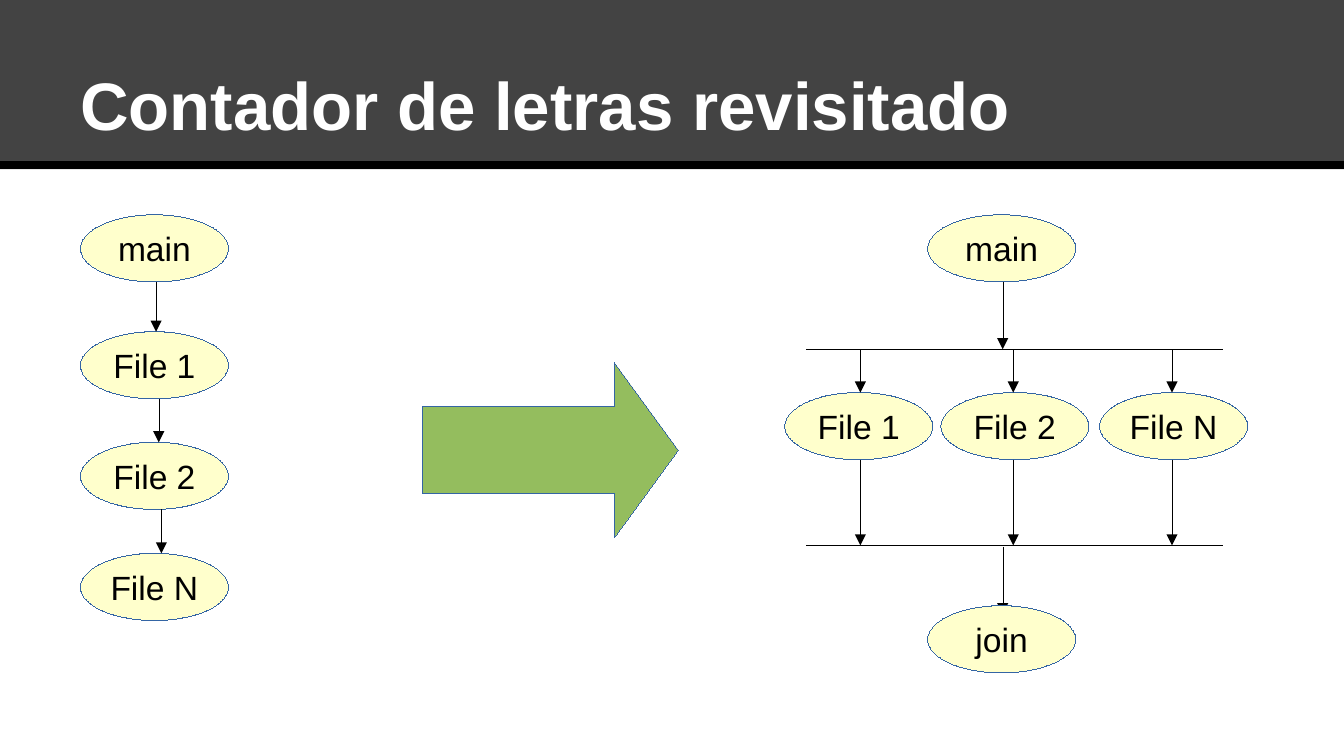
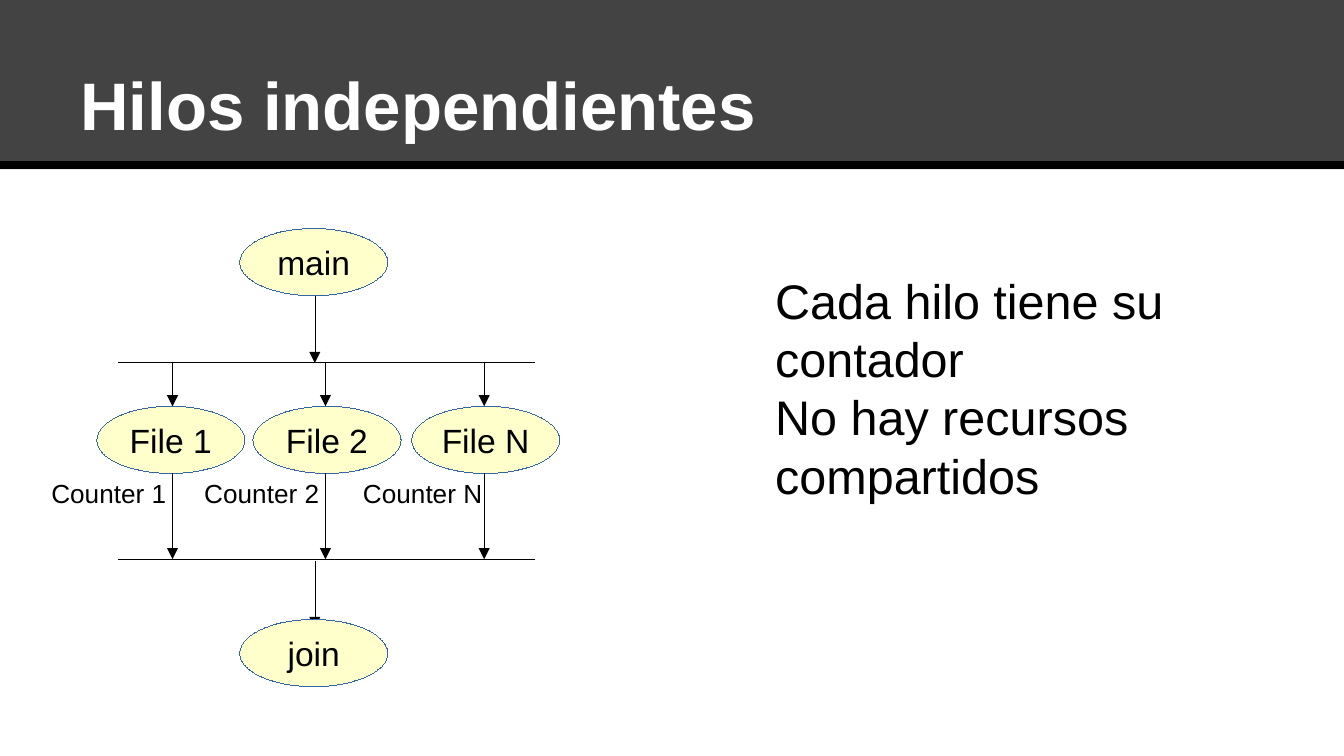
from lxml import etree
from pptx import Presentation
from pptx.dml.color import RGBColor
from pptx.enum.shapes import MSO_CONNECTOR, MSO_SHAPE as SHAPE
from pptx.enum.text import MSO_ANCHOR as ANCHOR, MSO_AUTO_SIZE as AUTO, PP_ALIGN as ALIGN
from pptx.oxml.ns import qn
from pptx.util import Cm, Pt

COLORS = {
    "band": "434343",
    "black": "000000",
    "white": "FFFFFF",
    "node": "FFFFCC",
    "outline": "3465A4",
    "arrow": "94BD5E",
}
RGB = {name: RGBColor.from_string(value) for name, value in COLORS.items()}
FONT = "Arial"
HAIRLINE = 0.01
NODE_W, NODE_H = 2.8, 1.27


def add_filled(s, kind, x, y, w, h, fill, text=""):
    sp = s.shapes.add_shape(kind, Cm(x), Cm(y), Cm(w), Cm(h))
    sp.shadow.inherit = False
    sp.fill.solid()
    sp.fill.fore_color.rgb = RGB[fill]
    sp.line.color.rgb = RGB["outline"]
    sp.line.width = Pt(HAIRLINE)
    if text:
        tf = sp.text_frame
        tf.word_wrap = False
        tf.vertical_anchor = ANCHOR.MIDDLE
        p = tf.paragraphs[0]
        p.text = text
        p.alignment = ALIGN.CENTER
        p.font.name, p.font.size = FONT, Pt(18)
        p.font.color.rgb = RGB["black"]
    return sp


def add_line(s, x1, y1, x2, y2, width=HAIRLINE, arrow=False):
    c = s.shapes.add_connector(MSO_CONNECTOR.STRAIGHT, Cm(x1), Cm(y1), Cm(x2), Cm(y2))
    c.line.color.rgb = RGB["black"]
    c.line.width = Pt(width)
    sp_pr = c._element.spPr
    if arrow:
        etree.SubElement(sp_pr.find(qn("a:ln")), qn("a:tailEnd"), type="triangle")
    etree.SubElement(sp_pr, qn("a:effectLst"))
    return c


prs = Presentation()
prs.slide_width, prs.slide_height = Cm(25.4), Cm(14.29)
layout = prs.slide_layouts[5]

slides = []
for title in ("Contador de letras revisitado", "Hilos independientes"):
    s = prs.slides.add_slide(layout)
    sp = s.shapes.title
    sp.left, sp.top, sp.width, sp.height = Cm(1.27), Cm(0.58), Cm(22.86), Cm(2.39)
    tf = sp.text_frame
    tf.auto_size = AUTO.NONE
    tf.word_wrap = True
    tf.vertical_anchor = ANCHOR.BOTTOM
    tf.margin_left = tf.margin_right = tf.margin_top = tf.margin_bottom = Cm(0.25)
    p = tf.paragraphs[0]
    p.text = title
    p.alignment = ALIGN.LEFT
    p.font.name, p.font.size, p.font.bold = FONT, Pt(36), True
    p.font.color.rgb = RGB["white"]
    slides.append(s)
sequence, threads = slides

band = add_filled(sequence, SHAPE.RECTANGLE, 0, 0, 25.4, 3.2, "band")
band.line.fill.background()
rule = add_line(sequence, 0, 3.12, 25.4, 3.12, 4.5)
for i, sp in enumerate((band, rule)):
    layout.shapes._spTree.insert(2 + i, sp._element)

steps = (("main", 4.06), ("File 1", 6.27), ("File 2", 8.36), ("File N", 10.46))
for text, y in steps:
    add_filled(sequence, SHAPE.OVAL, 1.52, y, NODE_W, NODE_H, "node", text)
for i, ((_, y), (_, next_y)) in enumerate(zip(steps, steps[1:])):
    x = 2.95 + 0.05 * i
    add_line(sequence, x, y + NODE_H, x, next_y, arrow=True)

sp = add_filled(sequence, SHAPE.RIGHT_ARROW, 7.98, 6.86, 4.84, 3.3, "arrow")
sp.adjustments[0], sp.adjustments[1] = 0.5, 0.365

files = (("1", -0.41, 1.02), ("2", 2.54, 3.91), ("N", 5.54, 6.91))
for s, x, y in ((sequence, 15.24, 4.06), (threads, 2.24, 4.32)):
    fork_y, file_y, join_y = y + 2.54, y + 3.36, y + 6.25
    add_filled(s, SHAPE.OVAL, x + 2.29, y, NODE_W, NODE_H, "node", "main")
    add_line(s, x + 3.71, y + NODE_H, x + 3.71, fork_y, arrow=True)
    for bar_y in (fork_y, join_y):
        add_line(s, x, bar_y, x + 7.87, bar_y)
    for name, node_dx, arrow_dx in files:
        add_filled(s, SHAPE.OVAL, x + node_dx, file_y, NODE_W, NODE_H, "node", f"File {name}")
        for start, end in ((fork_y, file_y), (file_y + NODE_H, join_y)):
            add_line(s, x + arrow_dx, start, x + arrow_dx, end, arrow=True)
    add_line(s, x + 3.71, join_y + 0.03, x + 3.71, join_y + 1.3, arrow=True)
    add_filled(s, SHAPE.OVAL, x + 2.29, y + 7.39, NODE_W, NODE_H, "node", "join")

texts = [(2.24 + dx - 2.54, 8.89, 3.28, 0.81, 14, [f"Counter {name}"]) for name, _, dx in files]
texts.append((14.4, 5, 8.74, 4.34, 26, ["Cada hilo tiene su contador", "No hay recursos compartidos"]))
for x, y, w, h, size, lines in texts:
    tf = threads.shapes.add_textbox(Cm(x), Cm(y), Cm(w), Cm(h)).text_frame
    tf.word_wrap = True
    tf.auto_size = AUTO.SHAPE_TO_FIT_TEXT
    tf.text = "\n".join(lines)
    for p in tf.paragraphs:
        p.font.name, p.font.size = FONT, Pt(size)
        p.font.color.rgb = RGB["black"]

prs.save("out.pptx")
